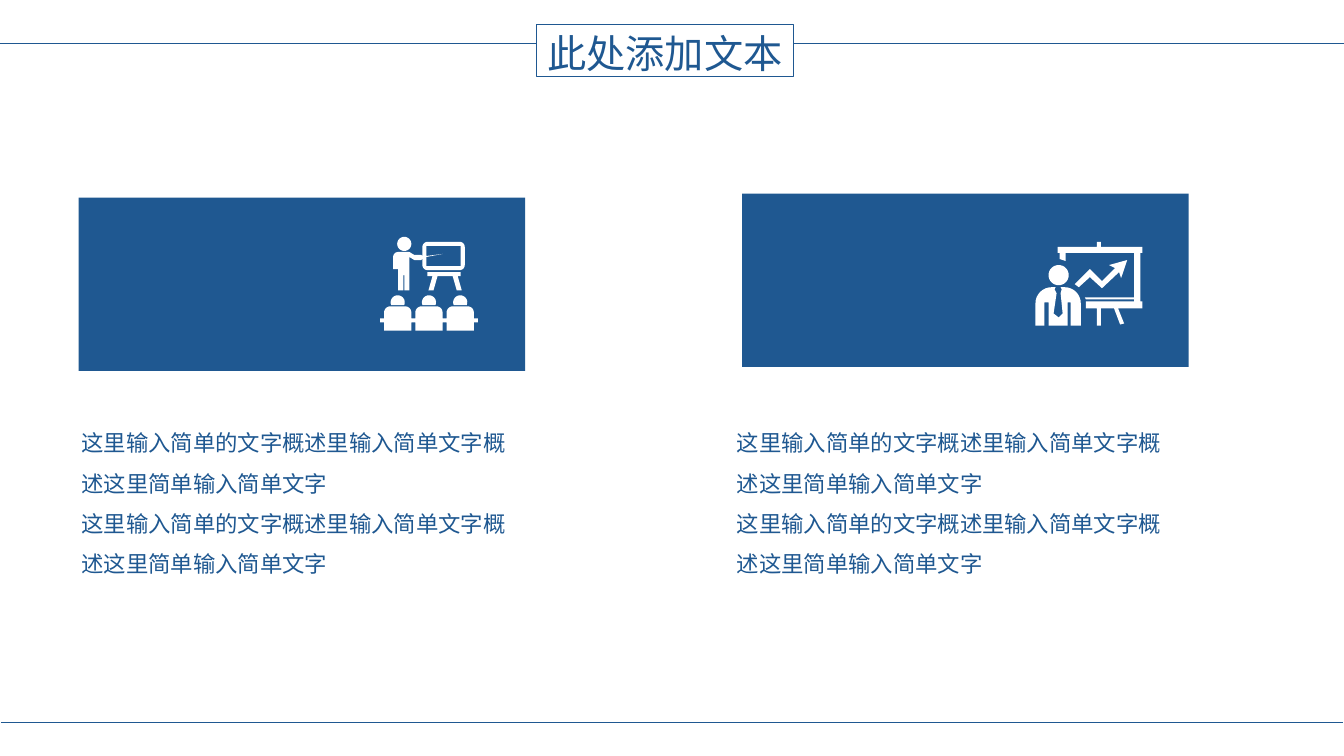
from dataclasses import dataclass
from math import cos, radians, sin

from lxml import etree
from pptx import Presentation
from pptx.dml.color import RGBColor
from pptx.enum.shapes import MSO_CONNECTOR, MSO_SHAPE
from pptx.enum.text import MSO_AUTO_SIZE, PP_ALIGN
from pptx.oxml.ns import qn
from pptx.util import Inches, Pt

RECT = MSO_SHAPE.RECTANGLE
STRAIGHT = MSO_CONNECTOR.STRAIGHT
GROW = MSO_AUTO_SIZE.SHAPE_TO_FIT_TEXT
CENTER = PP_ALIGN.CENTER
LEFT = PP_ALIGN.LEFT


@dataclass(frozen=True)
class Theme:
    """Colours, font and type sizes of the slide."""
    blue: RGBColor = RGBColor(0x1F, 0x58, 0x91)
    white: RGBColor = RGBColor(0xFF, 0xFF, 0xFF)
    font: str = "Noto Sans CJK SC"
    title: float = 28
    body: float = 16
    lead: float = 37
    pitch: float = 28.7
    frame: float = 0.75
    rule: float = 0.5


def assign(target, values):
    """Set each named value on the target."""
    for name, value in values.items():
        setattr(target, name, value)


def arc(x, y, r, start, end, steps=8):
    """Return points along a circle, clockwise from start to end degrees."""
    turns = [radians(start + (end - start) * i / steps) for i in range(steps + 1)]
    return [(x + r * cos(a), y + r * sin(a)) for a in turns]


def disc(x, y, r):
    """Return the outline of a full circle."""
    return arc(x, y, r, 0, 360, 32)


def box(l, t, r, b):
    """Return the outline of a rectangle."""
    return [(l, t), (r, t), (r, b), (l, b)]


def panel(l, t, r, b, bend):
    """Return the outline of a rectangle with round corners."""
    return (arc(l + bend, t + bend, bend, 180, 270)
            + arc(r - bend, t + bend, bend, 270, 360)
            + arc(r - bend, b - bend, bend, 0, 90)
            + arc(l + bend, b - bend, bend, 90, 180))


def chart_icon():
    """Return the outlines of a speaker beside a chart board."""
    arrow = [(10.81, 2.67), (10.66, 2.82), (10.7, 2.85), (10.81, 2.75), (10.93, 2.86),
             (11.1, 2.7), (11.12, 2.76), (11.18, 2.58), (11, 2.63), (11.06, 2.66),
             (10.93, 2.79)]
    easel = [(11.33, 2.51), (11.33, 2.45), (10.92, 2.45), (10.92, 2.4), (10.88, 2.4),
             (10.88, 2.45), (10.49, 2.45), (10.49, 2.51), (10.51, 2.51), (10.51, 2.57),
             (10.57, 2.59), (10.57, 2.51), (11.25, 2.51), (11.25, 2.95), (10.76, 2.95),
             (10.77, 2.97), (11.25, 2.97), (11.25, 2.99), (10.77, 2.99), (10.77, 3.06),
             (10.88, 3.06), (10.88, 3.23), (10.92, 3.23), (10.92, 3.06), (11.05, 3.06),
             (11.11, 3.22), (11.15, 3.21), (11.09, 3.06), (11.33, 3.06), (11.33, 2.99),
             (11.31, 2.99), (11.31, 2.51)]
    tie = [(10.52, 2.85), (10.53, 2.87), (10.52, 2.91), (10.54, 3.11), (10.5, 3.15),
           (10.45, 3.11), (10.48, 2.91), (10.46, 2.87), (10.47, 2.85)]
    arms = [(10.27, 3.23), (10.36, 3.23), (10.36, 3), (10.4, 3), (10.4, 3.23),
            (10.59, 3.23), (10.59, 3), (10.62, 3), (10.62, 3.23), (10.72, 3.23)]
    coat = (tie + arc(10.43, 3.01, 0.16, 270, 180) + arms
            + arc(10.56, 3.01, 0.16, 360, 270))
    return [arrow, easel, disc(10.5, 2.73, 0.1), coat]


def class_icon():
    """Return the outlines of a teacher, a board and three pupils."""
    glass = [(4.23, 2.44), (4.57, 2.44), (4.57, 2.64), (4.23, 2.64), (4.23, 2.55),
             (4.39, 2.52), (4.23, 2.54)]
    coat = arc(3.95, 2.55, 0.05, 180, 270) + [
        (4.06, 2.5), (4.11, 2.53), (4.18, 2.53), (4.19, 2.54), (4.19, 2.56),
        (4.18, 2.58), (4.11, 2.58), (4.06, 2.55), (4.06, 2.88), (4.01, 2.88),
        (4.01, 2.73), (4, 2.73), (4, 2.88), (3.95, 2.88), (3.95, 2.67), (3.9, 2.67)]
    stand = [(4.57, 2.7), (4.57, 2.74), (4.54, 2.74), (4.58, 2.88), (4.53, 2.88),
             (4.49, 2.74), (4.34, 2.74), (4.3, 2.88), (4.25, 2.88), (4.29, 2.74),
             (4.24, 2.74), (4.24, 2.7)]
    loops = [panel(4.19, 2.4, 4.61, 2.68, 0.05), glass, coat, stand,
             disc(4.01, 2.42, 0.07)]
    gap, wide = 0.04, 0.27
    step = gap + wide
    for i in range(4):
        x = 3.81 + i * step
        loops.append(box(x - gap, 3.16, x, 3.2))
        if i < 3:
            loops.append(arc(x + wide / 2, 3, 0.07, 157, 383, 16))
            loops.append(arc(x + 0.06, 3.1, 0.06, 180, 270)
                         + arc(x + wide - 0.06, 3.1, 0.06, 270, 360)
                         + [(x + wide, 3.28), (x, 3.28)])
    return loops


class Deck:
    """Hold the style and the current slide, and draw on it."""

    def __init__(self, theme):
        """Open a wide deck with one blank slide."""
        self.theme = theme
        self.deck = Presentation()
        assign(self.deck, {"slide_width": Inches(13.33), "slide_height": Inches(7.5)})
        self.slide = self.deck.slides.add_slide(self.deck.slide_layouts[6])
        self.shapes = self.slide.shapes

    def paint(self, shape, fill):
        """Give a shape a plain fill with no line or shadow."""
        shape.shadow.inherit = False
        shape.fill.solid()
        shape.fill.fore_color.rgb = fill
        shape.line.fill.background()

    def card(self, *place):
        """Add a solid blue card."""
        self.paint(self.shapes.add_shape(RECT, *map(Inches, place)), self.theme.blue)

    def icon(self, loops):
        """Add a white icon made of closed outlines."""
        pen = None
        for loop in loops:
            points = [(Inches(x), Inches(y)) for x, y in loop]
            if pen is None:
                pen = self.shapes.build_freeform(*points[0])
            else:
                pen.move_to(*points[0])
            pen.add_line_segments(points[1:], close=True)
        self.paint(pen.convert_to_shape(), self.theme.white)

    def fill(self, frame, lines, size, pitch, align):
        """Fill a text frame with styled lines."""
        assign(frame, {"word_wrap": True, "auto_size": GROW})
        for i, line in enumerate(lines):
            para = frame.add_paragraph() if i else frame.paragraphs[0]
            assign(para, {"alignment": align, "line_spacing": Pt(pitch)})
            run = para.add_run()
            run.text = line
            assign(run.font, {"size": Pt(size), "name": self.theme.font})
            run.font.color.rgb = self.theme.blue
            east = etree.SubElement(run._r.get_or_add_rPr(), qn("a:ea"))
            east.set("typeface", self.theme.font)

    def text(self, lines, *place):
        """Add a block of body text."""
        frame = self.shapes.add_textbox(*map(Inches, place)).text_frame
        self.fill(frame, lines, self.theme.body, self.theme.pitch, LEFT)

    def title(self, words, *place):
        """Add the framed title."""
        shape = self.shapes.add_shape(RECT, *map(Inches, place))
        shape.shadow.inherit = False
        shape.fill.background()
        shape.line.color.rgb = self.theme.blue
        shape.line.width = Pt(self.theme.frame)
        frame = shape.text_frame
        sides = ("left", "top", "right", "bottom")
        assign(frame, {f"margin_{side}": 0 for side in sides})
        self.fill(frame, [words], self.theme.title, self.theme.lead, CENTER)

    def rule(self, start, end, y):
        """Add a thin level line."""
        line = self.shapes.add_connector(STRAIGHT, *map(Inches, (start, y, end, y)))
        line.line.color.rgb = self.theme.blue
        line.line.width = Pt(self.theme.rule)
        etree.SubElement(line._element.spPr, qn("a:effectLst"))


def main():
    """Build and save the slide."""
    deck = Deck(Theme())
    for left, top in ((0.78, 1.96), (7.36, 1.92)):
        deck.card(left, top, 4.43, 1.72)
    for loops in (chart_icon(), class_icon()):
        deck.icon(loops)
    words = "这里输入简单的文字概述里输入简单文字概述这里简单输入简单文字"
    for left in (0.71, 7.21):
        deck.text([words] * 2, left, 4.08, 4.57, 2.17)
    deck.title("此处添加文本", 5.32, 0.24, 2.55, 0.52)
    for start, end, y in ((-0.01, 5.32, 0.43), (7.87, 13.34, 0.43), (0.01, 13.32, 7.17)):
        deck.rule(start, end, y)
    deck.deck.save("out.pptx")


if __name__ == "__main__":
    main()
